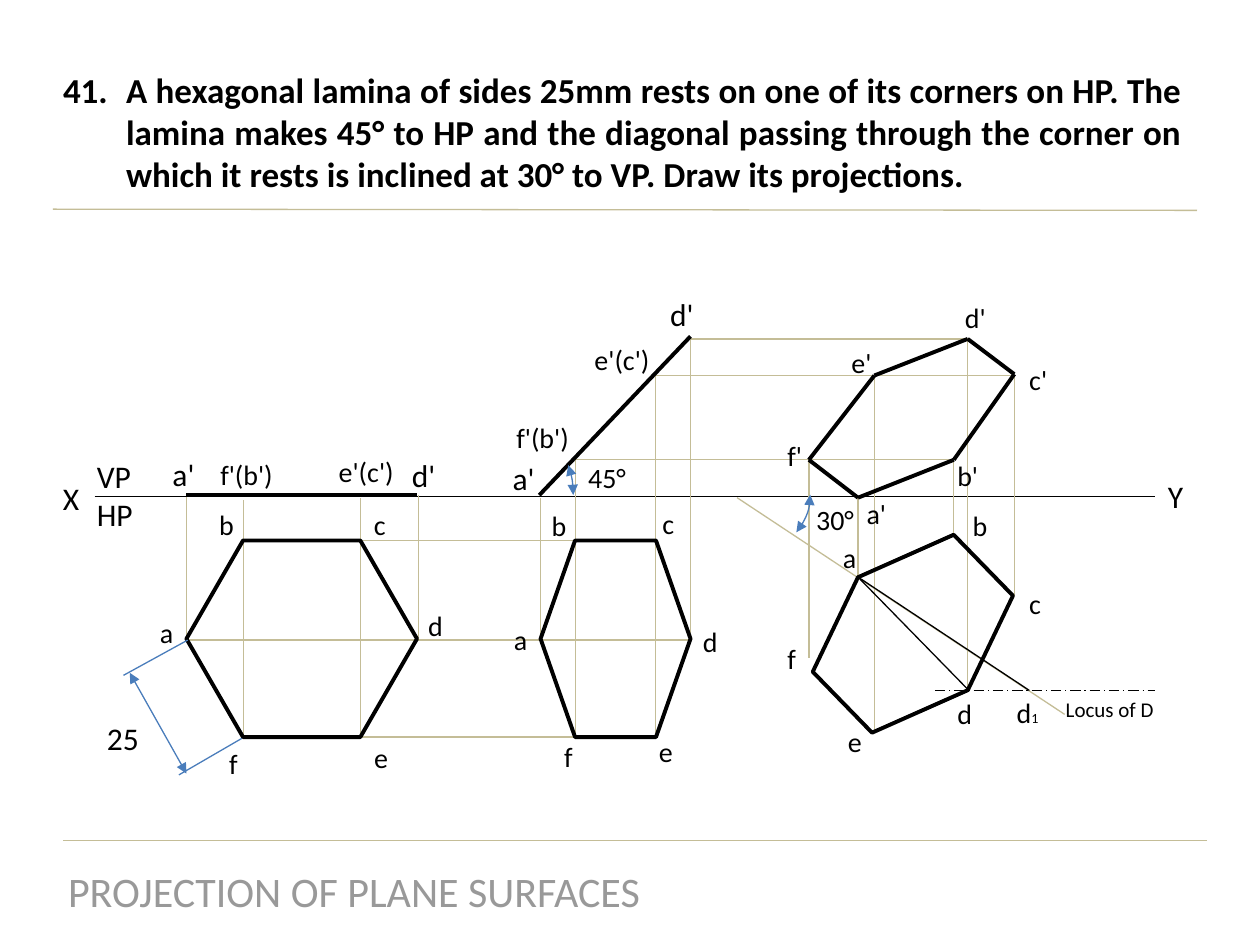
from itertools import pairwise

from lxml.etree import SubElement
from pptx import Presentation
from pptx.dml.color import RGBColor
from pptx.enum.dml import MSO_LINE
from pptx.enum.shapes import MSO_CONNECTOR, MSO_SHAPE
from pptx.enum.text import MSO_ANCHOR, MSO_AUTO_SIZE, PP_ALIGN
from pptx.oxml.ns import qn
from pptx.util import Cm, Pt

FONT = "Calibri"
BLACK, TAN, BLUE, GRAY = "000000", "C4BD97", "4A7DBB", "999999"
THIN, THICK = 0.75, 2.25
XY_LEVEL = 3.94

QUESTION = (
    "A hexagonal lamina of sides 25mm rests on one of its corners on HP. "
    "The lamina makes 45° to HP and the diagonal passing through the corner on "
    "which it rests is inclined at 30° to VP. Draw its projections."
)

LABEL_HEIGHTS = {12: 0.3, 16: 0.37, 18: 0.4}
CORNER_WIDTHS = {
    "a": 0.31, "b": 0.32, "c": 0.3, "d": 0.32, "e": 0.31, "f": 0.27,
    "a'": 0.36, "b'": 0.37, "c'": 0.35, "d'": 0.37, "e'": 0.36, "f'": 0.32,
    "f'(b')": 0.62, "e'(c')": 0.66,
}
CORNER_LABELS = [
    # first stage
    ("a", 1.17, 4.84), ("b", 1.64, 3.98), ("c", 2.87, 3.98),
    ("d", 3.3, 4.78), ("e", 2.87, 5.83), ("f", 1.72, 5.88),
    ("f'(b')", 1.65, 3.58), ("e'(c')", 2.59, 3.56),
    # second stage
    ("a", 3.98, 4.89), ("b", 4.28, 3.99), ("c", 5.16, 3.97),
    ("d", 5.48, 4.91), ("e", 5.13, 5.78), ("f", 4.38, 5.82),
    ("f'(b')", 4, 3.29), ("e'(c')", 4.62, 2.67),
    # final projections
    ("a", 6.59, 4.24), ("b", 7.62, 3.99), ("c", 8.07, 4.61),
    ("d", 7.5, 5.48), ("e", 6.63, 5.7), ("f", 6.15, 5.04),
    ("a'", 6.78, 3.89), ("b'", 7.5, 3.59), ("c'", 8.07, 2.83),
    ("d'", 7.56, 2.34), ("e'", 6.66, 2.69), ("f'", 6.15, 3.43),
]
OTHER_LABELS = [
    # text, left, top, width, size
    ("X", 0.4, 3.75, 0.33, 18), ("Y", 9.17, 3.74, 0.32, 18),
    ("25", 0.75, 5.66, 0.46, 18),
    ("a'", 1.27, 3.56, 0.42, 18), ("d'", 3.17, 3.57, 0.45, 18),
    ("a'", 3.97, 3.59, 0.42, 18), ("d'", 5.22, 2.29, 0.45, 18),
    ("45°", 4.57, 3.61, 0.56, 16), ("30°", 6.38, 3.94, 0.54, 16),
    ("Locus of D", 8.36, 5.48, 0.91, 12),
]

VERTICAL_PROJECTORS = [
    # x, bottom, top
    (1.48, 5.08, 3.93), (1.93, 5.86, 3.97), (2.86, 5.86, 3.95), (3.32, 5.08, 3.93),
    (4.29, 5.07, 3.95), (4.57, 5.85, 3.61), (5.2, 5.85, 2.98), (5.48, 5.07, 2.69),
    (6.42, 5.22, 3.65), (6.81, 4.58, 3.95), (6.94, 5.82, 2.98), (7.57, 4.24, 3.65),
    (7.68, 5.48, 2.69), (8.05, 4.73, 2.98),
]
HORIZONTAL_PROJECTORS = [
    # y, left, right
    (4.29, 2.86, 5.21), (5.08, 1.48, 5.48), (5.85, 2.86, 5.21),
    (2.69, 5.48, 7.68), (2.98, 5.2, 8.05), (3.65, 4.56, 7.57),
]
FRONT_VIEW_CORNERS = [
    (6.81, 3.95), (7.57, 3.65), (8.05, 2.97), (7.68, 2.69), (6.94, 2.98), (6.42, 3.65),
]


def inches(*values):
    """Drawing coordinates are in inches; the deck takes centimetres."""
    return [Cm(value * 2.54) for value in values]


def color(hex_code):
    return RGBColor.from_string(hex_code)


def style_line(shape, hex_code, width, arrows=False):
    shape.line.color.rgb = color(hex_code)
    shape.line.width = Pt(width)
    if arrows:
        outline = shape._element.spPr.find(qn("a:ln"))
        for end in ("a:headEnd", "a:tailEnd"):
            SubElement(outline, qn(end), type="triangle")


def add_line(shapes, start, end, hex_code=TAN, width=THIN, arrows=False, dash=None):
    line = shapes.add_connector(MSO_CONNECTOR.STRAIGHT, *inches(*start, *end))
    if dash:
        line.line.dash_style = dash
    style_line(line, hex_code, width, arrows)
    SubElement(line._element.spPr, qn("a:effectLst"))


def add_outline(shapes, kind, box, adjustments, rotation=0, **line_style):
    shape = shapes.add_shape(kind, *inches(*box))
    shape.shadow.inherit = False
    shape.fill.background()
    shape.rotation = rotation
    for index, value in enumerate(adjustments):
        shape.adjustments[index] = value
    style_line(shape, **line_style)


def add_run(para, text, size, hex_code=BLACK, bold=False):
    span = para.add_run()
    span.text = text
    span.font.name = FONT
    span.font.size = Pt(size)
    span.font.bold = bold
    span.font.color.rgb = color(hex_code)


def add_label(shapes, text, left, top, width, size=16):
    """Add a text box and return its paragraph."""
    box = shapes.add_textbox(*inches(left, top, width, LABEL_HEIGHTS[size]))
    frame = box.text_frame
    frame.word_wrap = True
    frame.margin_right = 0
    add_run(frame.paragraphs[0], text, size)
    return frame.paragraphs[0]


def place_placeholder(placeholder, box, alignment, anchor):
    """Move a placeholder and return its paragraph."""
    placeholder.left, placeholder.top, placeholder.width, placeholder.height = inches(*box)
    frame = placeholder.text_frame
    frame.auto_size = MSO_AUTO_SIZE.NONE
    frame.vertical_anchor = anchor
    para = frame.paragraphs[0]
    para.alignment = alignment
    para.space_before = Pt(0)
    return para


def number_paragraph(para, start):
    properties = para._p.get_or_add_pPr()
    properties.set("marL", str(Cm(1.27)))
    properties.set("indent", str(-Cm(1.27)))
    SubElement(properties, qn("a:buFont"), typeface="+mj-lt")
    SubElement(properties, qn("a:buAutoNum"), type="arabicPeriod", startAt=str(start))


def add_texts(slide):
    title = place_placeholder(slide.shapes.title, (0.42, 6.82, 4.78, 0.5),
                              PP_ALIGN.CENTER, MSO_ANCHOR.TOP)
    add_run(title, "PROJECTION OF PLANE SURFACES", 24, GRAY)
    question = place_placeholder(slide.placeholders[1], (0.4, 0.49, 9.08, 1.11),
                                 PP_ALIGN.JUSTIFY, MSO_ANCHOR.TOP)
    number_paragraph(question, 41)
    add_run(question, QUESTION, 20, bold=True)


def add_projectors(shapes):
    for x, bottom, top in VERTICAL_PROJECTORS:
        add_line(shapes, (x, bottom), (x, top))
    for y, left, right in HORIZONTAL_PROJECTORS:
        add_line(shapes, (left, y), (right, y))
    add_line(shapes, (5.85, 3.95), (8.45, 5.67))


def add_views(shapes):
    for box, slant, rotation in [((1.48, 4.29, 1.83, 1.56), 0.288, 0),
                                 ((4.29, 4.29, 1.19, 1.56), 0.23, 0),
                                 ((6.62, 4.25, 1.25, 1.56), 0.23, 45.8)]:
        add_outline(shapes, MSO_SHAPE.HEXAGON, box, (slant, 1.155), rotation,
                    hex_code=BLACK, width=THICK)
    add_line(shapes, (1.48, 3.93), (3.31, 3.93), BLACK, THICK)
    add_line(shapes, (5.48, 2.67), (4.28, 3.93), BLACK, THICK)
    for start, end in pairwise(FRONT_VIEW_CORNERS + FRONT_VIEW_CORNERS[:1]):
        add_line(shapes, start, end, BLACK, THICK)
    for end in [(7.69, 5.48), (8.17, 5.48)]:
        add_line(shapes, (6.81, 4.58), end, BLACK)
    add_line(shapes, (7.42, 5.48), (9.17, 5.48), BLACK, dash=MSO_LINE.LONG_DASH_DOT)


def add_dimensions(shapes):
    side = shapes.add_group_shape().shapes
    add_line(side, (1.03, 5.34), (1.48, 6.14), BLUE, arrows=True)
    add_line(side, (0.98, 5.36), (1.49, 5.08), BLUE)
    add_line(side, (1.42, 6.15), (1.92, 5.86), BLUE)
    for box, angles, rotation in [((4.29, 3.6, 0.26, 0.66), (174.47, 0), 0),
                                  ((5.68, 3.6, 0.67, 0.92), (174.47, 202.15), 51.4)]:
        add_outline(shapes, MSO_SHAPE.ARC, box, angles, rotation,
                    hex_code=BLUE, width=THIN, arrows=True)


def add_labels(shapes):
    for text, left, top in CORNER_LABELS:
        add_label(shapes, text, left, top, CORNER_WIDTHS[text])
    for label in OTHER_LABELS:
        add_label(shapes, *label)
    planes = shapes.add_textbox(*inches(0.67, 3.58, 0.49, 0.71)).text_frame
    add_run(planes.paragraphs[0], "VP", 18)
    add_run(planes.add_paragraph(), "HP", 18)
    locus_point = add_label(shapes, "d", 7.97, 5.47, 0.42)
    add_run(locus_point, "1", 8)


def main():
    deck = Presentation()
    deck.slide_width, deck.slide_height = Cm(25.4), Cm(19.05)
    slide = deck.slides.add_slide(deck.slide_layouts[1])
    shapes = slide.shapes
    add_texts(slide)
    add_line(shapes, (0.42, 1.66), (9.5, 1.67))
    add_line(shapes, (0.5, 6.67), (9.58, 6.67))
    add_line(shapes, (0.75, XY_LEVEL), (9.17, XY_LEVEL), BLACK)
    add_projectors(shapes)
    add_views(shapes)
    add_dimensions(shapes)
    add_labels(shapes)
    deck.save("out.pptx")


if __name__ == "__main__":
    main()
